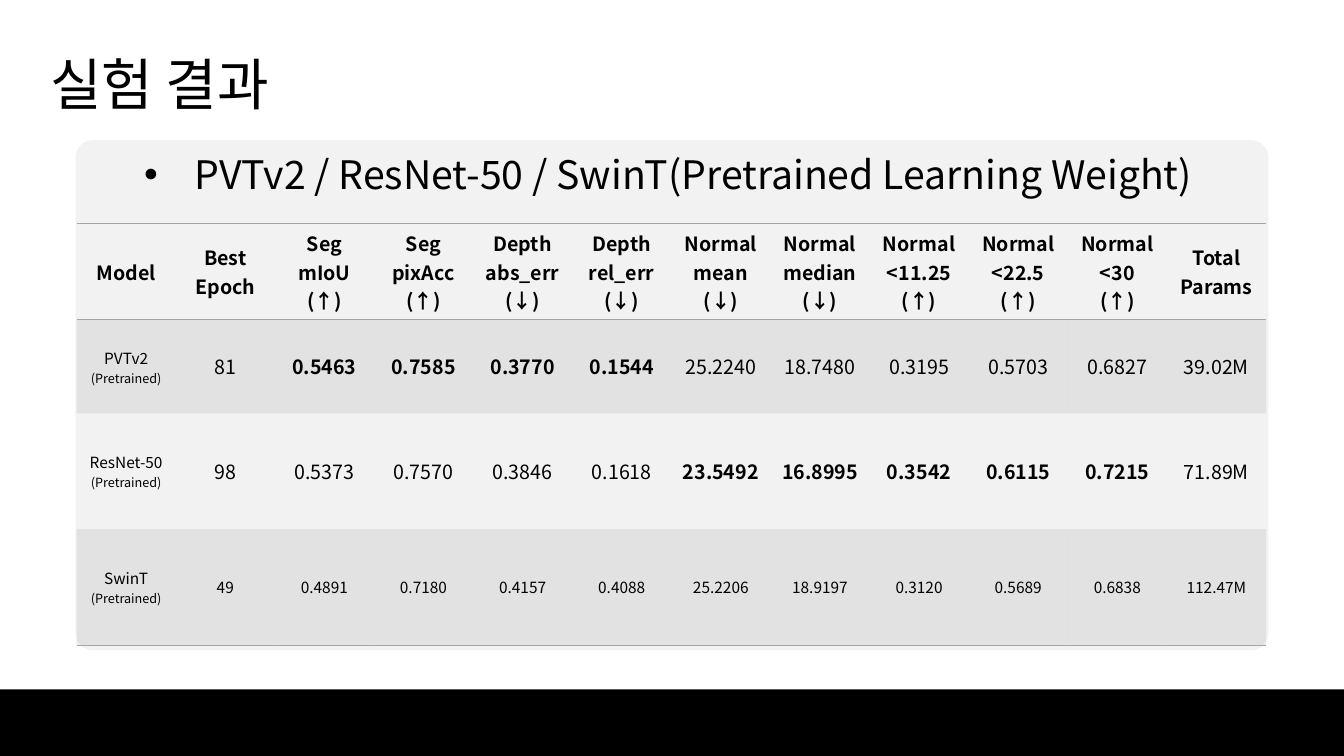
from lxml.etree import SubElement
from pptx import Presentation
from pptx.dml.color import RGBColor
from pptx.enum.shapes import MSO_SHAPE as Shape
from pptx.enum.text import MSO_ANCHOR as Anchor, PP_ALIGN as Align
from pptx.oxml.ns import qn
from pptx.util import Inches, Pt

FONT = "Noto Sans CJK KR"
GRAY = "A5A5A5"
HEADS = ["Model", "Best Epoch", "Seg\nmIoU (↑)", "Seg\npixAcc (↑)",
         "Depth\nabs_err (↓)", "Depth\nrel_err (↓)", "Normal\nmean (↓)",
         "Normal\nmedian (↓)", "Normal\n<11.25 (↑)", "Normal\n<22.5 (↑)",
         "Normal\n<30\n(↑)", "Total Params"]
ROWS = [
    "PVTv2 81 0.5463 0.7585 0.3770 0.1544 25.2240 18.7480 0.3195 0.5703 0.6827 39.02M".split(),
    "ResNet-50 98 0.5373 0.7570 0.3846 0.1618 23.5492 16.8995 0.3542 0.6115 0.7215 71.89M".split(),
    "SwinT 49 0.4891 0.7180 0.4157 0.4088 25.2206 18.9197 0.3120 0.5689 0.6838 112.47M".split(),
]
SIZES = [14, 14, 11]
HIGHS = [0.95, 0.93, 1.15, 1.15]


def rgb(code):
    return RGBColor.from_string(code)


def write(par, text, size, bold=False):
    """Add text as runs, with a line break at each newline."""
    for i, line in enumerate(text.split("\n")):
        if i:
            par.add_line_break()
        run = par.add_run()
        run.text = line
        font = run.font
        font.size, font.bold, font.name = Pt(size), bold, FONT
        font.color.rgb = rgb("000000")
        SubElement(font._element, qn("a:ea"), typeface=FONT)


deck = Presentation()
deck.slide_width, deck.slide_height = Inches(13.33), Inches(7.5)
slide = deck.slides.add_slide(deck.slide_layouts[6])
shapes = slide.shapes

# Panel and footer
for kind, box, color in [
    (Shape.ROUNDED_RECTANGLE, (0.75, 1.39, 11.83, 5.06), "F2F2F2"),
    (Shape.RECTANGLE, (0, 6.84, 13.33, 0.66), "000000"),
]:
    block = shapes.add_shape(kind, *map(Inches, box))
    block.shadow.inherit = False
    block.fill.solid()
    block.fill.fore_color.rgb = rgb(color)
    block.line.fill.background()
    if kind == Shape.ROUNDED_RECTANGLE:
        block.adjustments[0] = 0.034

# Title and bullet
for text, size, box, anchor, dot in [
    ("실험 결과", 40, (0.4, 0.49, 11.5, 0.76), Anchor.MIDDLE, False),
    ("PVTv2 / ResNet-50 / SwinT(Pretrained Learning Weight)", 28,
     (1.33, 1.49, 10.82, 4.75), Anchor.TOP, True),
]:
    frame = shapes.add_textbox(*map(Inches, box)).text_frame
    frame.word_wrap = True
    frame.vertical_anchor = anchor
    par = frame.paragraphs[0]
    par.line_spacing = 0.9
    if dot:
        props = par._p.get_or_add_pPr()
        props.set("marL", str(Inches(0.5)))
        props.set("indent", str(-Inches(0.5)))
        SubElement(props, qn("a:buFont"), typeface="Arial")
        SubElement(props, qn("a:buChar"), char="•")
    write(par, text, size)

# Results table
grid = shapes.add_table(len(HIGHS), len(HEADS), Inches(0.76), Inches(2.22),
                        Inches(11.8), Inches(sum(HIGHS))).table
grid.first_row = grid.horz_banding = False
style = grid._tbl.tblPr.find(qn("a:tableStyleId"))
style.text = "{2D5ABB26-0587-4C30-8999-92F81FD0307C}"
for col in grid.columns:
    col.width = Inches(11.8 / len(HEADS))
for row, high in zip(grid.rows, HIGHS):
    row.height = Inches(high)

for r, row in enumerate([HEADS] + ROWS):
    for c, text in enumerate(row):
        cell = grid.cell(r, c)
        cell.vertical_anchor = Anchor.MIDDLE
        par = cell.text_frame.paragraphs[0]
        par.alignment = Align.CENTER
        if r == 0:
            write(par, text, 14, True)
        elif c == 0:
            write(par, text, 11)
            write(par, " ", 10.5)
            write(par, "(Pretrained)", 9)
        else:
            # The best score of each column is bold
            best = None
            if "(" in HEADS[c]:
                pick = max if "↑" in HEADS[c] else min
                best = pick((line[c] for line in ROWS), key=float)
            write(par, text, SIZES[r - 1], text == best)

        props = cell._tc.get_or_add_tcPr()
        for side in {0: ["lnT", "lnB"], 3: ["lnB"]}.get(r, []):
            edge = SubElement(props, qn("a:" + side), w=str(Pt(1)))
            SubElement(SubElement(edge, qn("a:solidFill")), qn("a:srgbClr"), val=GRAY)
        if r % 2:
            cell.fill.solid()
            cell.fill.fore_color.rgb = rgb(GRAY)
            tint = props.find(qn("a:solidFill")).find(qn("a:srgbClr"))
            SubElement(tint, qn("a:alpha"), val="20000")
        else:
            cell.fill.background()

deck.save("out.pptx")
